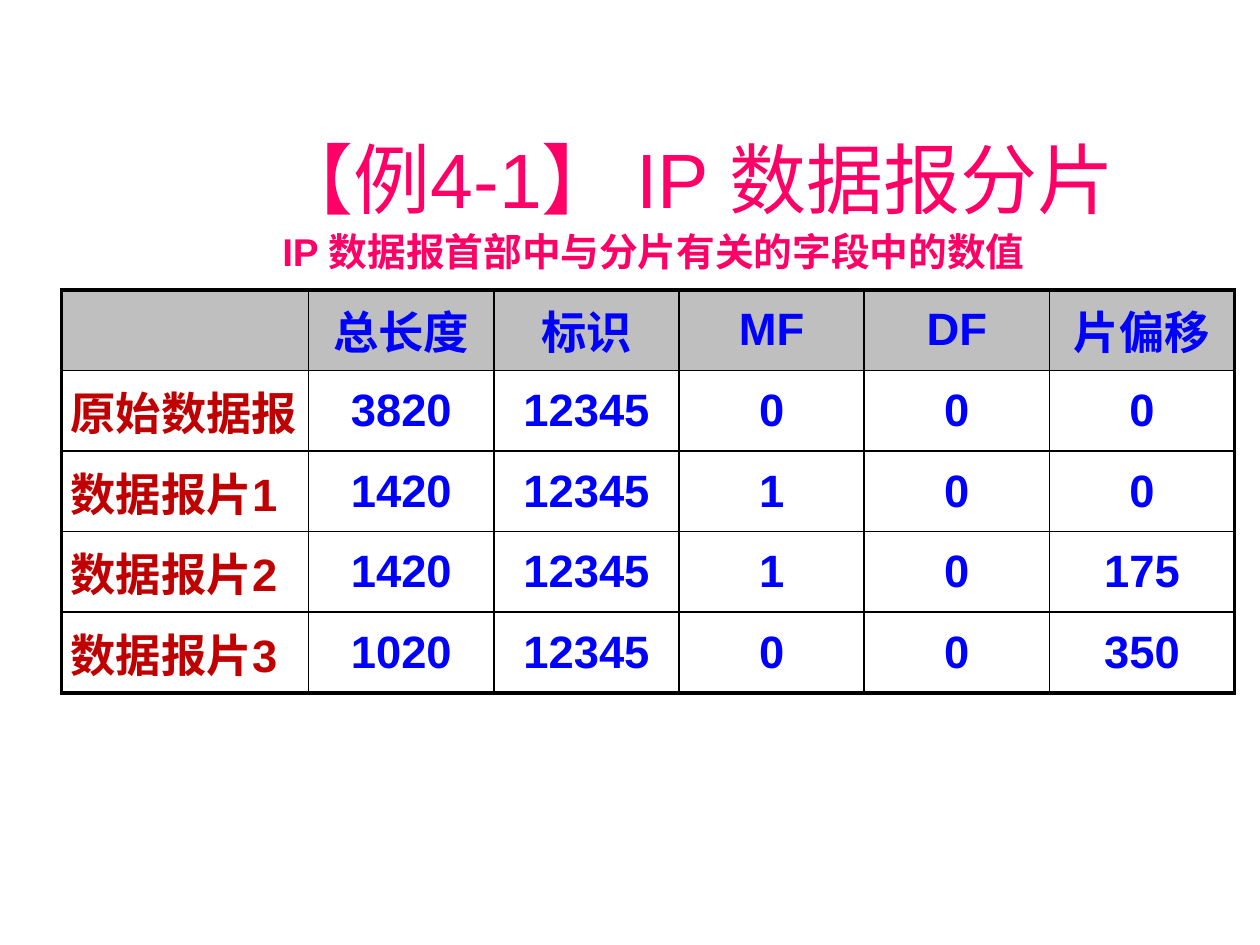
from lxml import etree
from pptx import Presentation
from pptx import util as u
from pptx.dml.color import RGBColor
from pptx.enum import text
from pptx.oxml.ns import qn

PINK, BLUE, RED, GREY, BLACK = "FF0066", "0000FF", "C00000", "BFBFBF", "000000"
TITLE = "【例4-1】 IP 数据报分片"
CAPTION = "IP 数据报首部中与分片有关的字段中的数值"
ROWS = [
    ("", "总长度", "标识", "MF", "DF", "片偏移"),
    ("原始数据报", "3820", "12345", "0", "0", "0"),
    ("数据报片1", "1420", "12345", "1", "0", "0"),
    ("数据报片2", "1420", "12345", "1", "0", "175"),
    ("数据报片3", "1020", "12345", "0", "0", "350"),
]
COL_WIDTHS = [1.96] + [1.47] * 5
ROW_HEIGHT = 0.64
THIN, THICK = 1, 2.25
ALIGN = text.PP_ALIGN
ANCHOR = text.MSO_ANCHOR


def rgb(value):
    return RGBColor.from_string(value)


def set_attrs(obj, values):
    for name, value in values.items():
        setattr(obj, name, value)


def write(tf, content, size, color, bold=False, align=ALIGN.CENTER):
    p = tf.paragraphs[0]
    p.alignment = align
    r = p.add_run()
    r.text = content
    set_attrs(r.font, {"name": "Arial", "size": u.Pt(size), "bold": bold})
    r.font.color.rgb = rgb(color)


def place(sp, left, top, width, height):
    box = dict(left=left, top=top, width=width, height=height)
    set_attrs(sp, {name: u.Inches(value) for name, value in box.items()})


def set_borders(cell, widths):
    tc_pr = cell._tc.get_or_add_tcPr()
    for i, (side, width) in enumerate(widths.items()):
        ln = etree.Element(qn(f"a:ln{side}"), w=str(u.Pt(width)))
        fill = etree.SubElement(ln, qn("a:solidFill"))
        etree.SubElement(fill, qn("a:srgbClr"), val=BLACK)
        tc_pr.insert(i, ln)


def format_cell(cell, row, col):
    last_row, last_col = len(ROWS) - 1, len(COL_WIDTHS) - 1
    set_attrs(cell, {
        "vertical_anchor": ANCHOR.MIDDLE,
        "margin_left": u.Inches(0.07), "margin_right": u.Inches(0.07),
        "margin_top": 0, "margin_bottom": 0,
    })
    if row == 0:
        cell.fill.solid()
        cell.fill.fore_color.rgb = rgb(GREY)
    else:
        cell.fill.background()
    edges = {"L": col == 0, "R": col == last_col, "T": row == 0, "B": row == last_row}
    set_borders(cell, {side: THICK if outer else THIN for side, outer in edges.items()})
    if ROWS[row][col]:
        color, align = (RED, ALIGN.JUSTIFY) if col == 0 else (BLUE, ALIGN.CENTER)
        write(cell.text_frame, ROWS[row][col], 25.9, color, True, align)


def main():
    prs = Presentation()
    set_attrs(prs, {"slide_width": u.Inches(10), "slide_height": u.Inches(7.5)})
    s = prs.slides.add_slide(prs.slide_layouts[5])

    title = s.shapes.title
    place(title, 1.26, 0.23, 8.52, 1.6)
    set_attrs(title.text_frame, {
        "vertical_anchor": ANCHOR.BOTTOM, "word_wrap": True,
        "auto_size": text.MSO_AUTO_SIZE.NONE,
    })
    write(title.text_frame, TITLE, 44, PINK)

    frame = s.shapes.add_table(
        len(ROWS), len(COL_WIDTHS), u.Inches(0.49), u.Inches(2.3),
        u.Inches(sum(COL_WIDTHS)), u.Inches(ROW_HEIGHT * len(ROWS)))
    table = frame.table
    set_attrs(table, {"first_row": False, "horz_banding": False})
    for column, width in zip(table.columns, COL_WIDTHS):
        column.width = u.Inches(width)
    for row in range(len(ROWS)):
        table.rows[row].height = u.Inches(ROW_HEIGHT)
        for col in range(len(COL_WIDTHS)):
            format_cell(table.cell(row, col), row, col)

    caption = s.shapes.add_textbox(0, 0, 0, 0)
    place(caption, 1.37, 1.76, 7.63, 0.47)
    set_attrs(caption.text_frame, {
        "word_wrap": True, "auto_size": text.MSO_AUTO_SIZE.SHAPE_TO_FIT_TEXT,
    })
    write(caption.text_frame, CAPTION, 22.1, PINK, True)
    prs.save("out.pptx")


if __name__ == "__main__":
    main()
